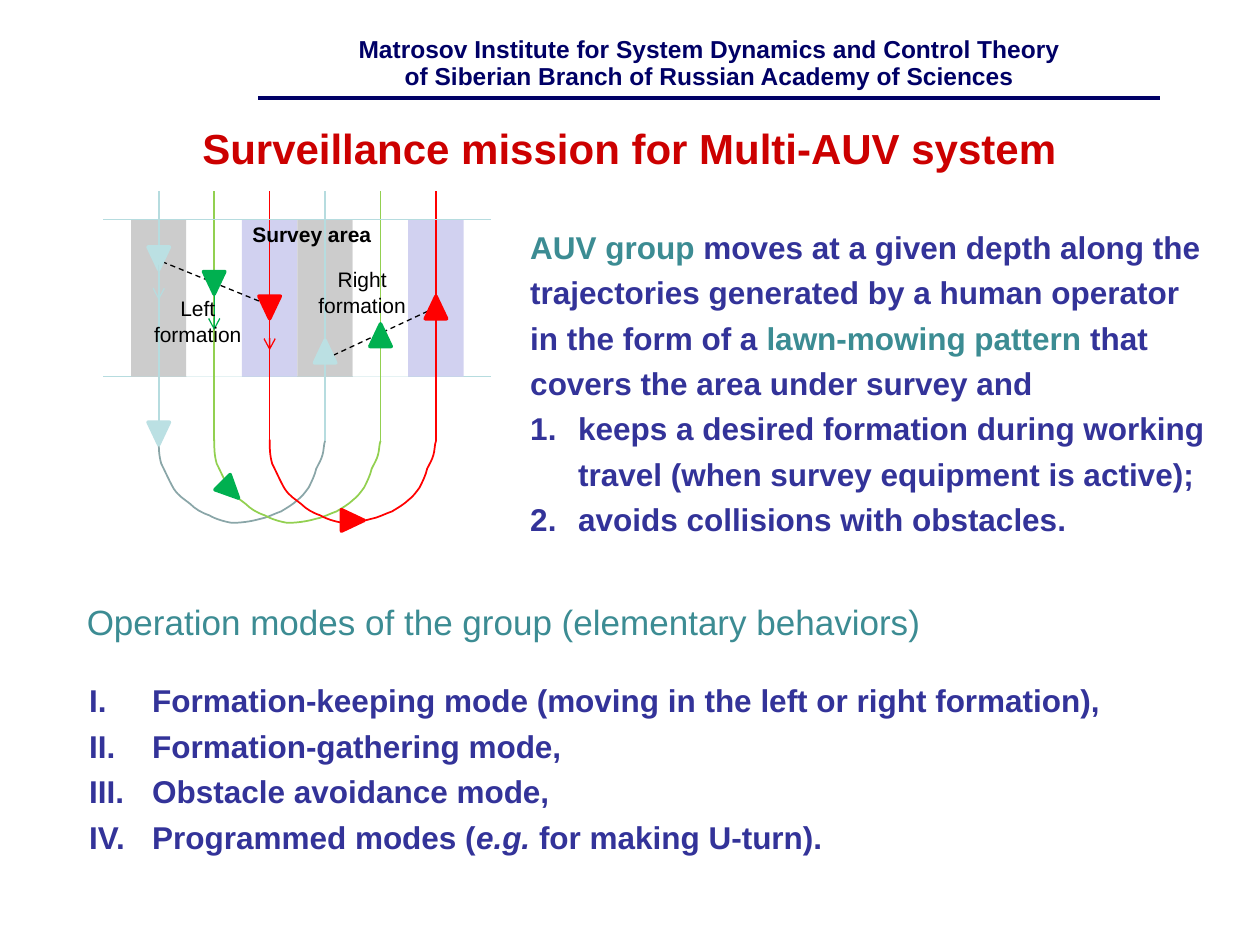
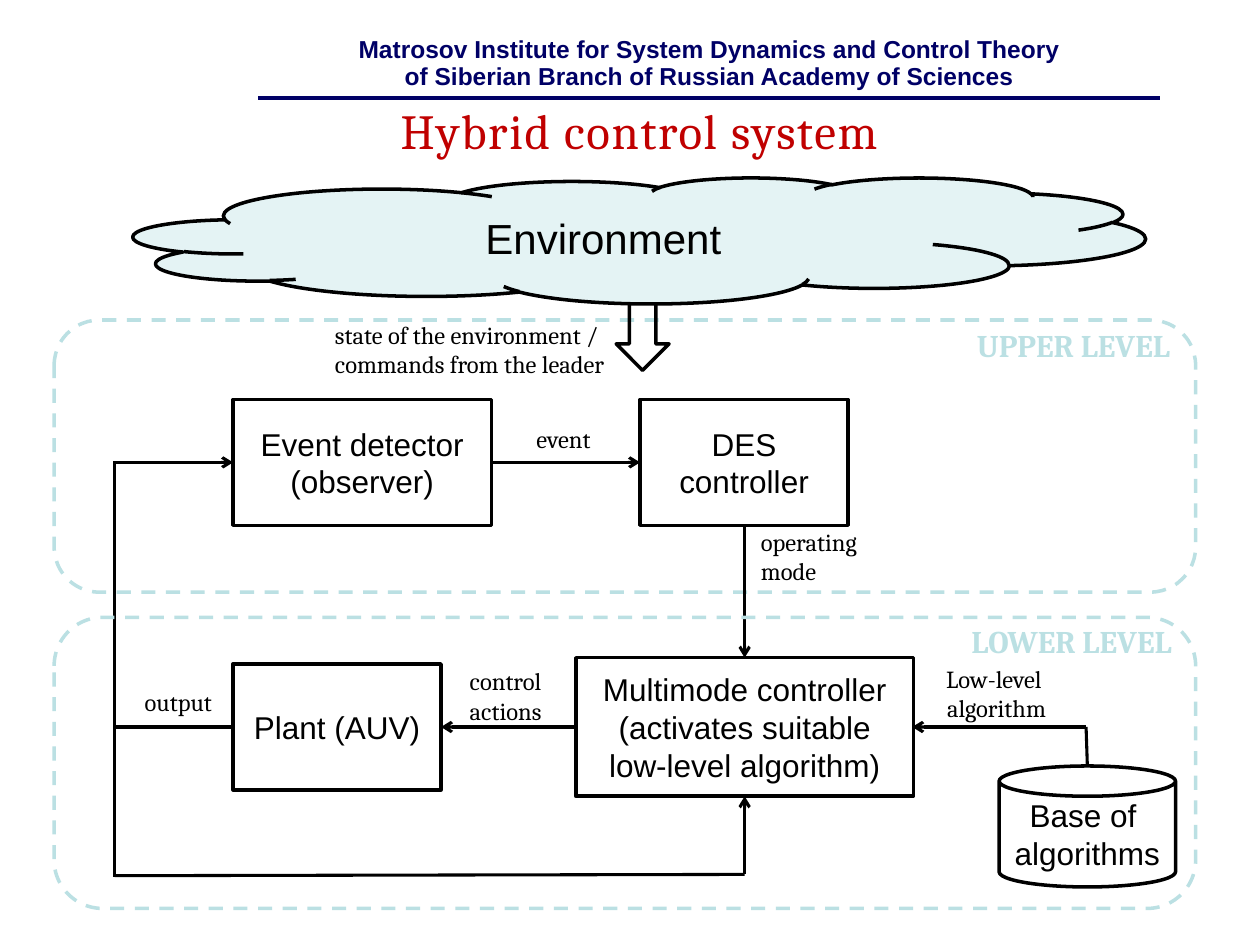
from dataclasses import dataclass, replace

from lxml import etree
from pptx import Presentation
from pptx.dml.color import RGBColor
from pptx.enum.dml import MSO_LINE
from pptx.enum.shapes import MSO_CONNECTOR, MSO_SHAPE as Preset
from pptx.enum.text import MSO_ANCHOR as Anchor, MSO_AUTO_SIZE, PP_ALIGN as Align
from pptx.oxml.ns import qn
from pptx.util import Inches, Pt

NAVY = RGBColor(0x00, 0x00, 0x66)
INDIGO = RGBColor(0x33, 0x33, 0x99)
TEAL = RGBColor(0x3C, 0x8C, 0x93)
TITLE_RED = RGBColor(0xCC, 0x00, 0x00)
DARK_RED = RGBColor(0xC0, 0x00, 0x00)
BLACK = RGBColor(0x00, 0x00, 0x00)
WHITE = RGBColor(0xFF, 0xFF, 0xFF)
GREY = RGBColor(0xCC, 0xCC, 0xCC)
LAVENDER = RGBColor(0xD1, 0xD1, 0xF0)
PALE_TEAL = RGBColor(0xBB, 0xE0, 0xE3)
LINE_TEAL = RGBColor(0xB6, 0xDC, 0xDF)
SLATE_TEAL = RGBColor(0x8A, 0xA6, 0xA8)
CLOUD_TEAL = RGBColor(0xE4, 0xF3, 0xF4)
LIME = RGBColor(0x92, 0xD0, 0x50)
GREEN = RGBColor(0x00, 0xB0, 0x50)
RED = RGBColor(0xFF, 0x00, 0x00)

WIDTH, HEIGHT = 10, 7.5
COLUMN = 0.44
FIELD_LEFT, FIELD_TOP, FIELD_BOTTOM = 1.04, 1.74, 2.99
TRACK_TOP, TRACK_BOTTOM = 1.52, 3.5
U_TURN_TOP = 3.49
U_TURN = [
    (0, 0), (0, 0.06), (0, 0.12), (0.02, 0.19), (0.05, 0.25), (0.09, 0.34), (0.12, 0.39),
    (0.16, 0.45), (0.2, 0.47), (0.25, 0.51), (0.29, 0.55), (0.34, 0.58), (0.4, 0.6),
    (0.45, 0.63), (0.52, 0.65), (0.58, 0.66), (0.65, 0.66), (0.73, 0.65), (0.8, 0.63),
    (0.86, 0.62), (0.91, 0.59), (0.97, 0.57), (1.02, 0.54), (1.07, 0.51), (1.1, 0.48),
    (1.14, 0.45), (1.16, 0.42), (1.19, 0.38), (1.21, 0.34), (1.24, 0.28), (1.25, 0.23),
    (1.27, 0.19), (1.29, 0.16), (1.3, 0.12), (1.31, 0.09), (1.31, 0.03), (1.32, 0.01)]


@dataclass(frozen=True)
class Style:
    size: float
    color: RGBColor = BLACK
    font: str = "Arial"
    bold: bool = False
    italic: bool = False
    spacing: int = 0


BODY = Style(18, INDIGO, bold=True)
ACCENT = replace(BODY, color=TEAL)
BLOCK = Style(18)
SMALL = Style(12)
SIGNAL = Style(14, font="Cambria")
LEVEL = Style(18, PALE_TEAL, "Cambria", bold=True)


def inches(*lengths):
    return [Inches(length) for length in lengths]


def add_run(paragraph, text, style):
    run = paragraph.add_run()
    run.text = text
    run.font.size = Pt(style.size)
    run.font.name = style.font
    run.font.bold = style.bold
    run.font.italic = style.italic
    run.font.color.rgb = style.color
    if style.spacing:
        run.font._element.set("spc", str(style.spacing))


def add_runs(paragraph, runs):
    for text, style in runs:
        for index, line in enumerate(text.split("\n")):
            if index:
                paragraph.add_line_break()
            add_run(paragraph, line, style)


def number_paragraph(paragraph, scheme, indent):
    properties = paragraph._p.get_or_add_pPr()
    properties.set("marL", str(Inches(indent)))
    properties.set("indent", str(-Inches(indent)))
    etree.SubElement(properties, qn("a:buFont"), typeface="+mj-lt")
    etree.SubElement(properties, qn("a:buAutoNum"), type=scheme)


def fill_text(shape, paragraphs, style, align=Align.LEFT, anchor=Anchor.TOP,
              spacing=None, numbering=None, numbered_from=0):
    frame = shape.text_frame
    frame.word_wrap = True
    frame.vertical_anchor = anchor
    for index, content in enumerate(paragraphs):
        paragraph = frame.add_paragraph() if index else frame.paragraphs[0]
        paragraph.alignment = align
        if spacing:
            paragraph.line_spacing = spacing
        if numbering and index >= numbered_from:
            number_paragraph(paragraph, *numbering)
        add_runs(paragraph, [(content, style)] if isinstance(content, str) else content)
    return frame


def add_text(slide, box, paragraphs, style, wrap=True, grow=True, **layout):
    frame = fill_text(slide.shapes.add_textbox(*inches(*box)), paragraphs, style, **layout)
    frame.word_wrap = wrap
    if grow:
        frame.auto_size = MSO_AUTO_SIZE.SHAPE_TO_FIT_TEXT
    return frame


def add_preset(slide, preset, box, fill=None, line=None, dashed=False, rotation=0):
    shape = slide.shapes.add_shape(preset, *inches(*box))
    shape.shadow.inherit = False
    shape.rotation = rotation
    if fill is None:
        shape.fill.background()
    else:
        shape.fill.solid()
        shape.fill.fore_color.rgb = fill
    if line is None:
        shape.line.fill.background()
    else:
        shape.line.color.rgb = line
        shape.line.width = Pt(2)
        if dashed:
            shape.line.dash_style = MSO_LINE.DASH
    return shape


def add_block(slide, box, paragraphs, preset=Preset.RECTANGLE, fill=None, style=BLOCK):
    shape = add_preset(slide, preset, box, fill, BLACK)
    fill_text(shape, paragraphs, style, Align.CENTER, Anchor.MIDDLE)


def add_line(slide, start, end, color=BLACK, width=1.75, arrow=False, dashed=False):
    connector = slide.shapes.add_connector(MSO_CONNECTOR.STRAIGHT, *inches(*start, *end))
    connector.line.color.rgb = color
    connector.line.width = Pt(width)
    if dashed:
        connector.line.dash_style = MSO_LINE.DASH
    if arrow:
        etree.SubElement(connector.line._get_or_add_ln(), qn("a:tailEnd"), type="arrow")
    etree.SubElement(connector._element.spPr, qn("a:effectLst"))


def bend_segments(shape):
    outline = next(shape._element.iter(qn("a:path")))
    segments = outline.findall(qn("a:lnTo"))
    for first in range(0, len(segments), 3):
        curve = etree.SubElement(outline, qn("a:cubicBezTo"))
        for segment in segments[first:first + 3]:
            curve.append(segment[0])
            outline.remove(segment)


def add_u_turn(slide, left, color):
    points = [inches(left + x, U_TURN_TOP + y) for x, y in U_TURN]
    builder = slide.shapes.build_freeform(*points[0])
    builder.add_line_segments(points[1:], close=False)
    curve = builder.convert_to_shape()
    bend_segments(curve)
    curve.shadow.inherit = False
    curve.fill.background()
    curve.line.color.rgb = color
    curve.line.width = Pt(1)


def add_vehicle(slide, center, color, rotation=0):
    x, y = center
    add_preset(slide, Preset.FLOWCHART_MERGE, (x - 0.085, y - 0.09, 0.17, 0.18),
               color, color, rotation=rotation)


def lane(number):
    return FIELD_LEFT + COLUMN * (number + 0.5)


def add_header(slide):
    frame = add_text(slide, (1.24, 0.25, 8.78, 0.47),
                     ["Matrosov Institute for System Dynamics and Control Theory",
                      "of Siberian Branch of Russian Academy of Sciences"],
                     Style(14, NAVY, bold=True), align=Align.CENTER,
                     anchor=Anchor.MIDDLE, spacing=0.9)
    frame.margin_bottom = 0
    add_line(slide, (2.05, 0.78), (9.21, 0.78), NAVY, 2.25)


def add_title(slide, left, top, text, style):
    add_text(slide, (left, top, 9.45, 0.7), [text], style, grow=False,
             align=Align.CENTER, anchor=Anchor.MIDDLE)


def add_survey_diagram(slide):
    def add_border(y):
        add_line(slide, (0.82, y), (3.9, y), LINE_TEAL, 0.75)

    add_border(FIELD_BOTTOM)
    for number, color in enumerate([GREY, WHITE, LAVENDER] * 2):
        add_preset(slide, Preset.RECTANGLE,
                   (FIELD_LEFT + COLUMN * number, FIELD_TOP, COLUMN, FIELD_BOTTOM - FIELD_TOP),
                   color)
    tracks = [(LINE_TEAL, SLATE_TEAL), (LIME, LIME), (RED, RED)]
    for number, (color, turn_color) in enumerate(tracks):
        for x in (lane(number), lane(number + 3)):
            add_line(slide, (x, TRACK_TOP), (x, TRACK_BOTTOM), color, 1)
        add_u_turn(slide, lane(number), turn_color)

    vehicles = [PALE_TEAL, GREEN, RED]
    add_line(slide, (1.22, 2.05), (2.18, 2.44), BLACK, 0.75, dashed=True)
    for number, color in enumerate(vehicles):
        add_vehicle(slide, (lane(number), 2.05 + 0.195 * number), color)
    add_line(slide, (lane(3), 2.85), (lane(5), 2.44), BLACK, 0.75, dashed=True)
    add_border(FIELD_TOP)
    for number, (color, y) in enumerate(zip(vehicles, (2.79, 2.66, 2.44))):
        add_vehicle(slide, (lane(number + 3), y), color, 180)
    for number, (color, y) in enumerate(zip((LINE_TEAL, GREEN, RED), (2.1, 2.34, 2.5))):
        add_line(slide, (lane(number), y), (lane(number), y + 0.28), color, 0.75, arrow=True)
    turning = [((lane(0), 3.44), 0), ((1.83, 3.89), 315), ((2.8, 4.13), 270)]
    for color, (center, rotation) in zip(vehicles, turning):
        add_vehicle(slide, center, color, rotation)

    add_text(slide, (1.85, 1.71, 1.25, 0.3), ["Survey area"],
             replace(SMALL, bold=True), align=Align.CENTER)
    add_text(slide, (2.36, 2.07, 1.03, 0.5), ["Right formation"], SMALL, align=Align.CENTER)
    add_text(slide, (1.08, 2.3, 0.98, 0.5), ["Left", "formation"], SMALL, align=Align.CENTER)


def build_mission(slide):
    add_title(slide, 0.27, 0.82, "Surveillance mission for Multi-AUV system",
              Style(24, TITLE_RED, bold=True))
    add_text(slide, (0.61, 5.3, 9.2, 2.04),
             ["Formation-keeping mode (moving in the left or right formation),",
              "Formation-gathering mode,",
              "Obstacle avoidance mode,",
              [("Programmed modes (", BODY), ("e.g. ", replace(BODY, italic=True)),
               ("for making U-turn).", BODY)]],
             BODY, spacing=1.2, numbering=("romanUcPeriod", 0.5))
    add_text(slide, (0.59, 4.72, 7.72, 0.44),
             ["Operation modes of the group (elementary behaviors)"], Style(20, TEAL))
    add_text(slide, (4.11, 1.7, 5.62, 2.65),
             [[("AUV group ", ACCENT),
               ("moves at a given depth along the trajectories generated by a human "
                "operator in the form of a ", BODY),
               ("lawn-mowing pattern ", ACCENT),
               ("that covers the area under survey and", BODY)],
              "keeps a desired formation during working travel "
              "(when survey equipment is active);",
              "avoids collisions with obstacles."],
             BODY, spacing=1.2, numbering=("arabicPeriod", 0.38), numbered_from=1)
    add_survey_diagram(slide)


def build_control_system(slide):
    def add_level(top, height):
        add_preset(slide, Preset.ROUNDED_RECTANGLE, (0.43, top, 9.06, height),
                   line=PALE_TEAL, dashed=True)

    feedback_x, controller_x = 0.91, 5.91
    upper_y, lower_y = 3.67, 5.77

    add_level(2.54, 2.16)
    add_title(slide, 0.35, 0.68, "Hybrid control system",
              Style(28, DARK_RED, "Cambria", spacing=100))
    add_block(slide, (5.08, 3.17, 1.65, 1), ["DES controller"])
    add_block(slide, (1.85, 3.17, 2.05, 1), ["Event detector (observer)"])
    add_block(slide, (1.85, 5.27, 1.65, 1), ["Plant (AUV)"])
    add_block(slide, (7.93, 6.08, 1.4, 0.96), ["Base of \nalgorithms"], Preset.CAN)
    add_block(slide, (4.57, 5.22, 2.68, 1.1),
              ["Multimode controller", "(activates suitable low-level algorithm)"])

    for start, end, arrow in [
        ((controller_x, 4.17), (controller_x, 5.22), True),
        ((3.9, upper_y), (5.08, upper_y), True),
        ((4.57, lower_y), (3.5, lower_y), True),
        ((1.85, lower_y), (feedback_x, lower_y), False),
        ((feedback_x, lower_y), (feedback_x, 3.66), False),
        ((feedback_x, upper_y), (1.85, upper_y), True),
        ((feedback_x, 6.96), (feedback_x, 5.73), False),
        ((controller_x, 6.94), (feedback_x, 6.95), False),
        ((controller_x, 6.94), (controller_x, 6.32), True),
        ((8.63, 6.08), (8.62, lower_y), False),
        ((8.62, lower_y), (7.24, lower_y), True),
    ]:
        add_line(slide, start, end, arrow=arrow)

    add_level(4.9, 2.31)
    add_preset(slide, Preset.DOWN_ARROW, (4.89, 2.31, 0.42, 0.63), line=BLACK)

    for box, lines, wrap in [
        ((4.16, 3.32, 0.66, 0.34), ["event"], False),
        ((5.94, 4.13, 1.21, 0.57), ["operating mode"], True),
        ((3.63, 5.24, 0.86, 0.57), ["control", "actions"], True),
        ((1.05, 5.4, 0.76, 0.34), ["output"], False),
        ((2.56, 2.49, 2.48, 0.57),
         ["state of the environment /", "commands from the leader"], False),
    ]:
        add_text(slide, box, lines, SIGNAL, wrap=wrap)
    add_text(slide, (7.31, 5.22, 1.2, 0.57), ["Low-level ", "algorithm"], SIGNAL,
             align=Align.CENTER)
    add_text(slide, (7.63, 2.54, 1.78, 0.4), ["UPPER LEVEL"], LEVEL, align=Align.CENTER)
    add_text(slide, (7.52, 4.89, 1.97, 0.4), ["LOWER LEVEL"], LEVEL, align=Align.CENTER)
    add_block(slide, (1.06, 1.41, 8.03, 1), ["Environment"], Preset.CLOUD, CLOUD_TEAL,
              Style(24))


def main():
    presentation = Presentation()
    presentation.slide_width, presentation.slide_height = inches(WIDTH, HEIGHT)
    for build in (build_mission, build_control_system):
        slide = presentation.slides.add_slide(presentation.slide_layouts[6])
        add_header(slide)
        build(slide)
    presentation.save("out.pptx")


if __name__ == "__main__":
    main()
